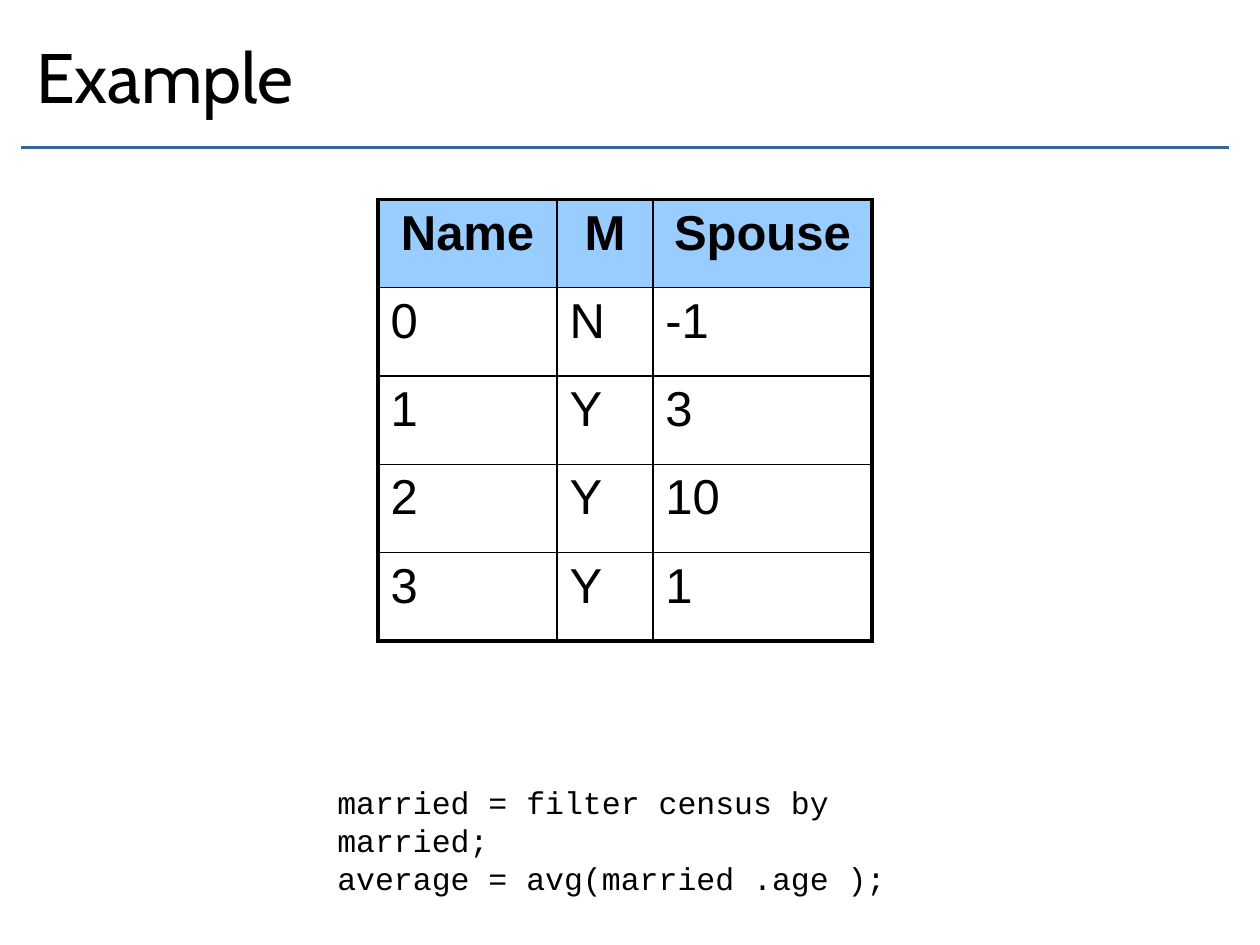
from dataclasses import dataclass

from lxml import etree
from pptx import Presentation
from pptx import util as u
from pptx.dml.color import RGBColor
from pptx.enum import shapes, text
from pptx.oxml import ns


@dataclass(frozen=True)
class Theme:
    ink: str = "000000"
    rule: str = "336699"
    header_fill: str = "99CCFF"
    title_font: str = "Cabin"
    table_font: str = "Arial"
    code_font: str = "Courier New"
    title_size: float = 40
    table_size: float = 28
    code_size: float = 18
    rule_width: float = 2
    outer_border: float = 2.25
    inner_border: float = 1


THEME = Theme()

CENSUS = [
    ("Name", "M", "Spouse"),
    ("0", "N", "-1"),
    ("1", "Y", "3"),
    ("2", "Y", "10"),
    ("3", "Y", "1"),
]
COLUMN_WIDTHS = (3.61, 1.93, 4.42)
ROW_HEIGHT = 1.78

QUERY = ["married = filter census by married;", "average = avg(married .age );"]


def write(frame, lines, *, font, size, bold=False, align=text.PP_ALIGN.LEFT):
    """Write each line as a paragraph of the frame."""
    for index, line in enumerate(lines):
        paragraph = frame.add_paragraph() if index else frame.paragraphs[0]
        paragraph.alignment = align
        run = paragraph.add_run()
        run.text = line
        run.font.name = font
        run.font.size = u.Pt(size)
        run.font.bold = bold
        run.font.color.rgb = RGBColor.from_string(THEME.ink)


def add_text(slide, lines, left, top, width, height,
             anchor=text.MSO_ANCHOR.TOP, **style):
    box = slide.shapes.add_textbox(u.Cm(left), u.Cm(top), u.Cm(width), u.Cm(height))
    frame = box.text_frame
    frame.word_wrap = True
    frame.vertical_anchor = anchor
    write(frame, lines, **style)


def add_rule(slide, left, right, y):
    rule = slide.shapes.add_connector(
        shapes.MSO_CONNECTOR.STRAIGHT, u.Cm(left), u.Cm(y), u.Cm(right), u.Cm(y))
    rule.line.color.rgb = RGBColor.from_string(THEME.rule)
    rule.line.width = u.Pt(THEME.rule_width)
    etree.SubElement(rule._element.spPr, ns.qn("a:effectLst"))


def set_borders(cell, outer_sides):
    """Draw all four borders, heavier on the table's outer sides."""
    properties = cell._tc.get_or_add_tcPr()
    for position, side in enumerate("LRTB"):
        points = THEME.outer_border if side in outer_sides else THEME.inner_border
        border = etree.Element(ns.qn(f"a:ln{side}"), w=str(u.Pt(points)))
        fill = etree.SubElement(border, ns.qn("a:solidFill"))
        etree.SubElement(fill, ns.qn("a:srgbClr"), val=THEME.ink)
        properties.insert(position, border)


def add_census_table(slide, left, top):
    rows, columns = len(CENSUS), len(COLUMN_WIDTHS)
    table = slide.shapes.add_table(
        rows, columns, u.Cm(left), u.Cm(top),
        u.Cm(sum(COLUMN_WIDTHS)), u.Cm(rows * ROW_HEIGHT)).table
    table.first_row = table.horz_banding = False
    for column, width in zip(table.columns, COLUMN_WIDTHS):
        column.width = u.Cm(width)

    for r, record in enumerate(CENSUS):
        is_header = r == 0
        for c, value in enumerate(record):
            cell = table.cell(r, c)
            if is_header:
                cell.fill.solid()
                cell.fill.fore_color.rgb = RGBColor.from_string(THEME.header_fill)
            else:
                cell.fill.background()
            edges = {"L": c == 0, "R": c == columns - 1,
                     "T": is_header, "B": r == rows - 1}
            set_borders(cell, [side for side, is_outer in edges.items() if is_outer])
            write(cell.text_frame, [value], font=THEME.table_font,
                  size=THEME.table_size, bold=is_header,
                  align=text.PP_ALIGN.CENTER if is_header else text.PP_ALIGN.LEFT)


def main():
    deck = Presentation()
    deck.slide_width, deck.slide_height = u.Cm(25.4), u.Cm(19.05)
    slide = deck.slides.add_slide(deck.slide_layouts[6])

    # Title and the rule below it
    add_rule(slide, 0.43, 24.77, 2.97)
    add_text(slide, ["Example"], 0.48, 0, 22.86, 3.05,
             anchor=text.MSO_ANCHOR.MIDDLE,
             font=THEME.title_font, size=THEME.title_size)

    # Census records
    add_census_table(slide, 7.62, 4.02)

    # Query over the census
    add_text(slide, QUERY, 6.55, 15.67, 12.83, 1.8,
             font=THEME.code_font, size=THEME.code_size)

    deck.save("out.pptx")


if __name__ == "__main__":
    main()
